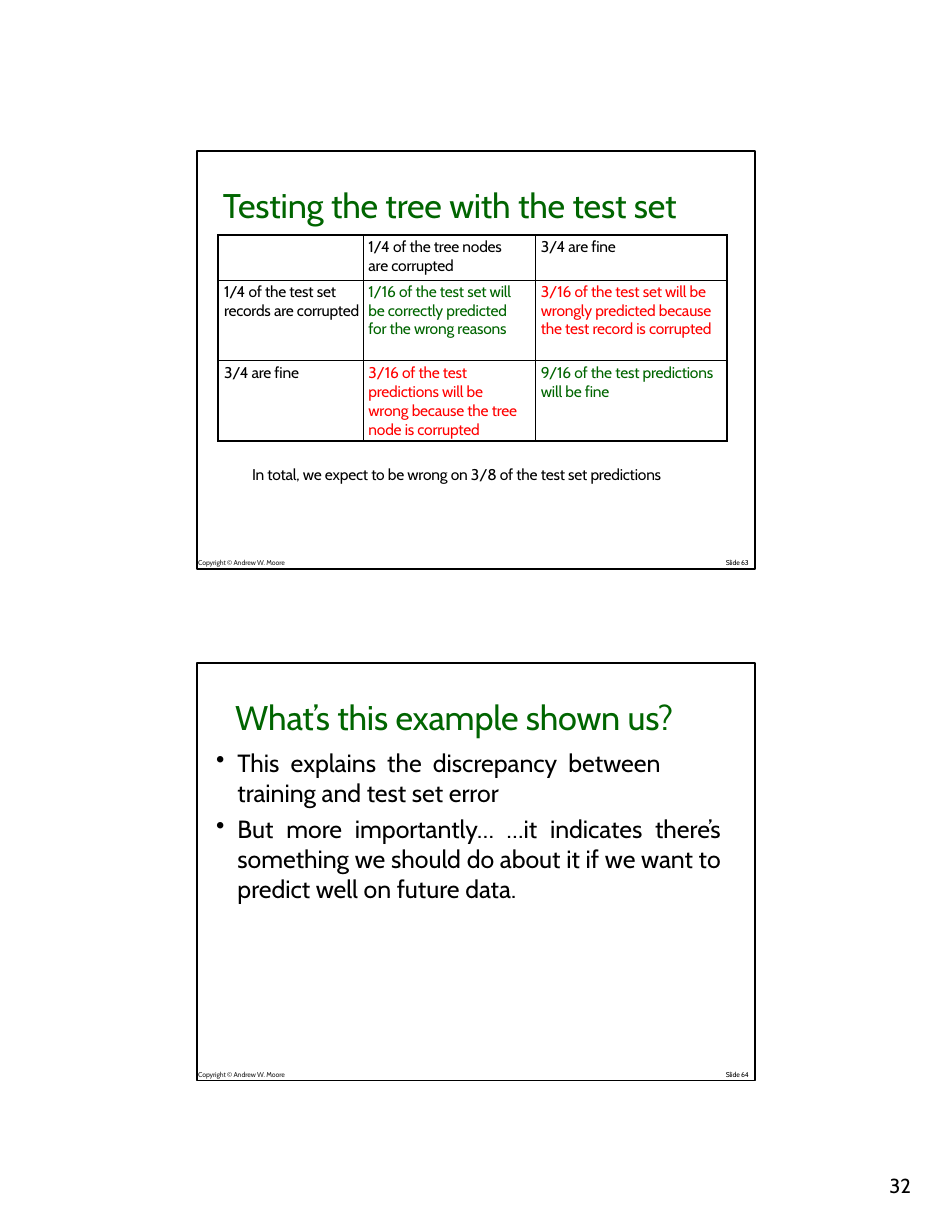
import pptx
import pptx.dml.color
import pptx.enum.shapes
import pptx.enum.text
import pptx.oxml
import pptx.oxml.ns
import pptx.util

WIDE, HIGH = 8.5, 11
COLS, ROWS = 85, 110
FONT = "Cabin"
BLACK, GREY, GREEN, RED = "000000", "1B1B1B", "006500", "FF0000"
STEP = 45.7
GRID = [
    [("", BLACK), ("1/4 of the tree nodes are corrupted", BLACK), ("3/4 are fine", BLACK)],
    [
        ("1/4 of the test set records are corrupted", BLACK),
        ("1/16 of the test set will be correctly predicted for the wrong reasons", GREEN),
        ("3/16 of the test set will be wrongly predicted because the test record is corrupted", RED),
    ],
    [
        ("3/4 are fine", BLACK),
        ("3/16 of the test predictions will be wrong because the tree node is corrupted", RED),
        ("9/16 of the test predictions will be fine", GREEN),
    ],
]
POINTS = [
    ("This explains the discrepancy between training and test set error", 6.6, 0.54),
    (
        "But more importantly… …it indicates there’s something we should do "
        "about it if we want to predict well on future data.",
        3.8,
        0,
    ),
]


def across(n):
    return pptx.util.Inches(n * WIDE / COLS)


def down(n):
    return pptx.util.Inches(n * HIGH / ROWS)


def paint(color):
    return pptx.dml.color.RGBColor.from_string(color)


def style(para, size, color, space=-10):
    for run in para.runs:
        run.font.name = FONT
        run.font.size = pptx.util.Pt(size)
        run.font.color.rgb = paint(color)
        run._r.get_or_add_rPr().set("spc", str(space))


def inset(frame, left, top, right=0):
    frame.margin_left = across(left)
    frame.margin_top = down(top)
    frame.margin_right = across(right)
    frame.margin_bottom = 0


def label(slide, x, y, w, h, text, size, color, space=-10):
    frame = slide.shapes.add_textbox(across(x), down(y), across(w), down(h)).text_frame
    frame.word_wrap = False
    inset(frame, 0.1, 0.1)
    frame.text = text
    style(frame.paragraphs[0], size, color, space)


def panel(slide, index):
    top = 13.5 + index * STEP
    box = slide.shapes.add_shape(
        pptx.enum.shapes.MSO_SHAPE.RECTANGLE, across(17.6), down(top), across(49.8), down(37.3)
    )
    box.shadow.inherit = False
    box.fill.background()
    box.line.color.rgb = paint(BLACK)
    box.line.width = pptx.util.Pt(1)
    label(slide, 17.6, top + 36.3, 8.9, 1, "Copyright © Andrew W. Moore", 4.5, GREY)
    label(slide, 64.7, top + 36.3, 2.5, 1, f"Slide {63 + index}", 4.5, BLACK)


def edge(cell, side, width):
    props = cell._tc.get_or_add_tcPr()
    props.append(pptx.oxml.parse_xml(
        f'<a:{side} {pptx.oxml.ns.nsdecls("a")} w="{pptx.util.Pt(width)}">'
        f'<a:solidFill><a:srgbClr val="{BLACK}"/></a:solidFill></a:{side}>'
    ))


def table(slide):
    wide, high = [12.9, 15.4, 17.1], [4, 7.2, 7.2]
    shape = slide.shapes.add_table(
        3, 3, across(19.5), down(21), across(sum(wide)), down(sum(high))
    )
    grid = shape.table
    grid.first_row = grid.horz_banding = False
    for col, size in zip(grid.columns, wide):
        col.width = across(size)
    for row, size in zip(grid.rows, high):
        row.height = down(size)
    for r, line in enumerate(GRID):
        for c, (text, color) in enumerate(line):
            cell = grid.cell(r, c)
            inset(cell, 0.5, 0.3 if r == 2 else 0.2, 1 if c == 1 else 0)
            outer = {"lnL": c == 0, "lnR": c == 2, "lnT": r == 0, "lnB": r == 2}
            for side, thick in outer.items():
                edge(cell, side, 1.5 if thick else 0.5)
            cell.fill.background()
            cell.text_frame.text = text
            style(cell.text_frame.paragraphs[0], 10, color)


def bullet(para, right):
    props = para._p.get_or_add_pPr()
    hang = pptx.util.Inches(0.19)
    props.set("marL", str(hang))
    props.set("indent", str(-hang))
    props.set("marR", str(pptx.util.Inches(right)))
    mark = pptx.oxml.parse_xml(f'<a:buChar {pptx.oxml.ns.nsdecls("a")} char="•"/>')
    props.append(mark)


def body(slide):
    frame = slide.shapes.add_textbox(across(19.3), down(60.8), across(45.1), down(20)).text_frame
    frame.word_wrap = True
    inset(frame, 0, 1.4)
    head = frame.paragraphs[0]
    head.text = "What’s this example shown us?"
    head._p.get_or_add_pPr().set("marL", str(across(1.7)))
    style(head, 22, GREEN)
    for text, gap, right in POINTS:
        para = frame.add_paragraph()
        para.text = text
        bullet(para, right)
        para.alignment = pptx.enum.text.PP_ALIGN.JUSTIFY
        para.space_before = pptx.util.Pt(gap)
        style(para, 16, BLACK, 0)


def main():
    deck = pptx.Presentation()
    deck.slide_width, deck.slide_height = across(COLS), down(ROWS)
    slide = deck.slides.add_slide(deck.slide_layouts[6])
    for index in range(2):
        panel(slide, index)
    label(slide, 19.8, 16.4, 44.6, 4, "Testing the tree with the test set", 22, GREEN)
    table(slide)
    total = "In total, we expect to be wrong on 3/8 of the test set predictions"
    label(slide, 22.4, 41.4, 40.2, 2, total, 10, BLACK)
    body(slide)
    label(slide, 79.3, 104.7, 2.5, 2.5, "32", 13, BLACK, 0)
    deck.save("out.pptx")


if __name__ == "__main__":
    main()
